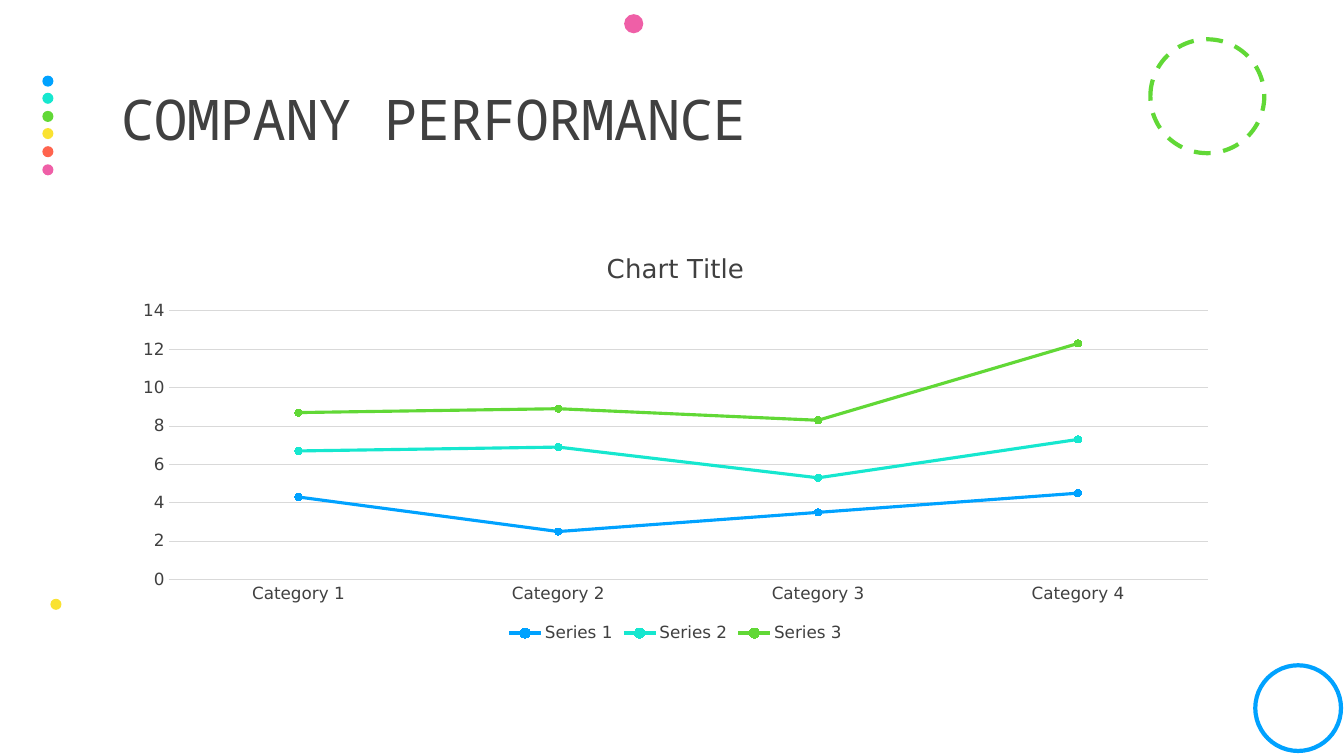
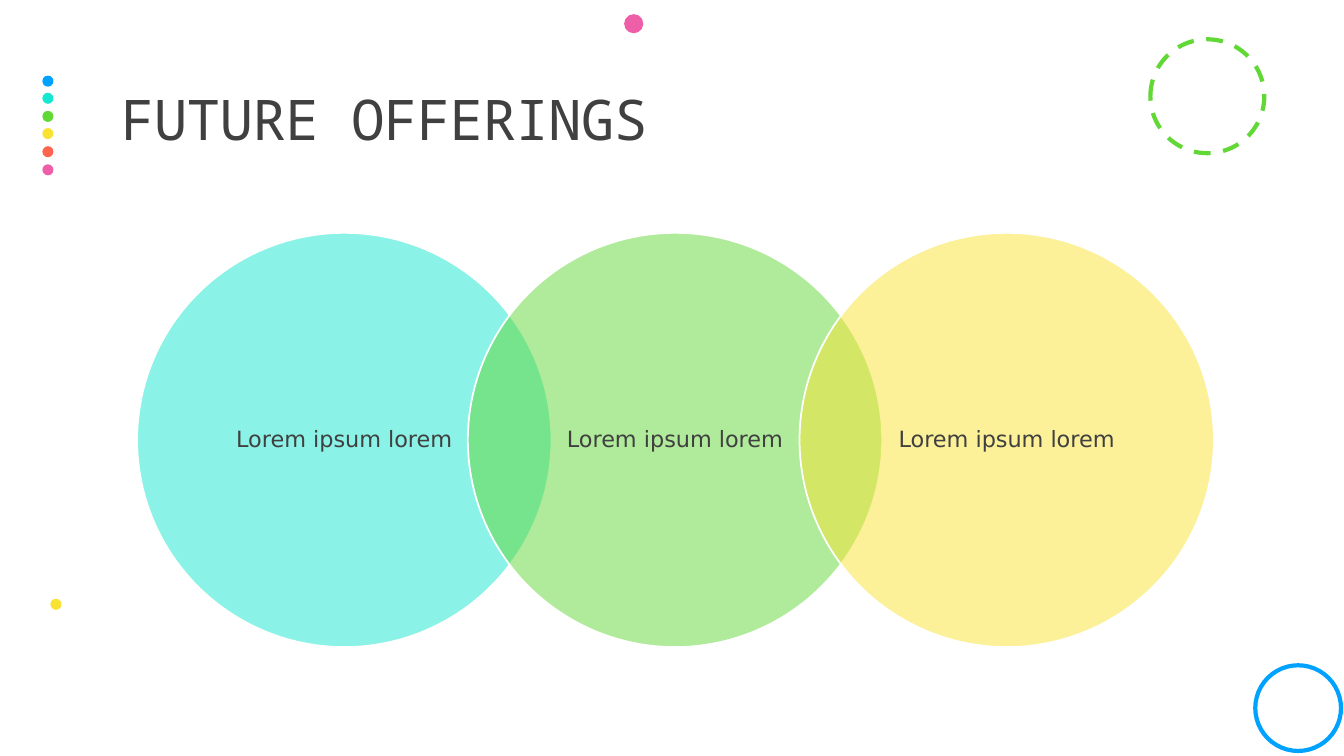
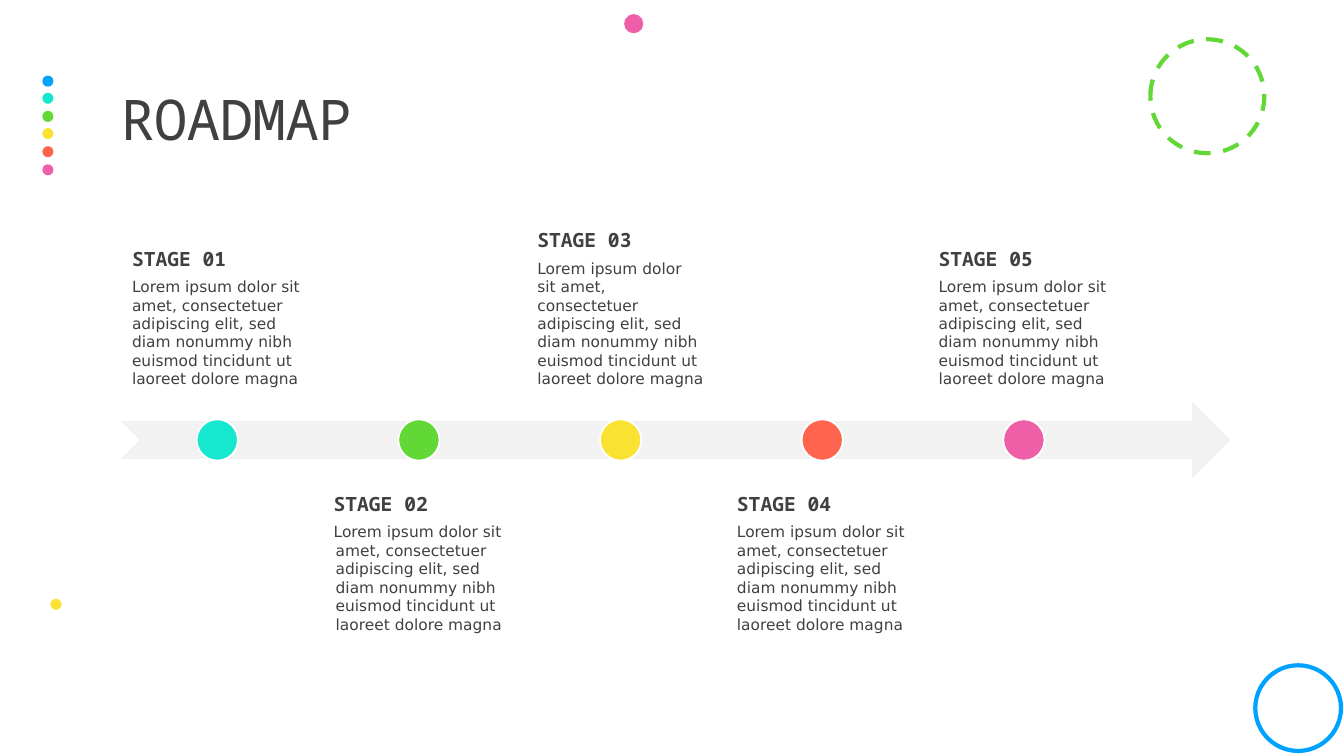
"""Build a three-slide company deck: chart, overlapping circles and roadmap."""
from dataclasses import dataclass

from lxml.etree import SubElement as Sub
from pptx import Presentation as Deck
from pptx.chart.data import CategoryChartData as Data
from pptx.dml.color import RGBColor as Rgb
from pptx.enum.chart import XL_CHART_TYPE as Kind
from pptx.enum.chart import XL_LEGEND_POSITION as Spot
from pptx.enum.chart import XL_MARKER_STYLE as Mark
from pptx.enum.chart import XL_TICK_MARK as Tick
from pptx.enum.dml import MSO_LINE as Dash
from pptx.enum.shapes import MSO_SHAPE as Form
from pptx.enum.text import MSO_ANCHOR as Hold
from pptx.enum.text import PP_ALIGN as Align
from pptx.oxml.ns import qn
from pptx.util import Pt

SCALE = 9144


@dataclass(frozen=True)
class Theme:
    ink: str = "404040"
    white: str = "FFFFFF"
    pale: str = "F2F2F2"
    grid: str = "D9D9D9"
    blue: str = "00A2FF"
    teal: str = "16E7CF"
    green: str = "61D836"
    gold: str = "FAE232"
    coral: str = "FF644E"
    pink: str = "EF5FA7"
    mono: str = "Noto Sans Mono"
    sans: str = "DejaVu Sans"
    title: float = 40
    chart: float = 18.6
    label: float = 16
    stage: float = 14
    axis: float = 12
    body: float = 11


LOOK = Theme()
LOREM = ("Lorem ipsum dolor sit amet, consectetuer adipiscing elit, sed "
         "diam nonummy nibh euismod tincidunt ut laoreet dolore magna")


def px(*nums):
    return [num * SCALE for num in nums]


def tone(hue):
    return Rgb.from_string(hue)


def style(font, size, face=LOOK.sans, bold=False):
    font.size, font.name, font.bold = Pt(size), face, bold
    font.color.rgb = tone(LOOK.ink)


def write(para, text, size, face=LOOK.sans, bold=False):
    run = para.add_run()
    run.text = text
    style(run.font, size, face, bold)
    return run


def inset(frame, side, top, hold):
    frame.margin_left = frame.margin_right = side * SCALE
    frame.margin_top = frame.margin_bottom = top * SCALE
    frame.vertical_anchor = hold
    frame.word_wrap = True


def shape(slide, form, box, fill=None, line=None, width=1.25):
    item = slide.shapes.add_shape(form, *px(*box))
    item.shadow.inherit = False
    if fill:
        item.fill.solid()
        item.fill.fore_color.rgb = tone(fill)
    else:
        item.fill.background()
    if line:
        item.line.color.rgb = tone(line)
        item.line.width = Pt(width)
    else:
        item.line.fill.background()
    return item


def oval(slide, left, top, size, fill=None, line=None, width=1.25):
    return shape(slide, Form.OVAL, (left, top, size, size), fill, line, width)


def fade(item, part):
    hue = item.element.spPr.find(qn("a:solidFill"))[0]
    Sub(hue, qn("a:alpha"), val=str(part * 1000))


def decor(slide, base):
    hues = (LOOK.blue, LOOK.teal, LOOK.green, LOOK.gold, LOOK.coral, LOOK.pink)
    items = [oval(slide, 42, 75 + row * 88 // 5, 11, hue)
             for row, hue in enumerate(hues)]
    ring = oval(slide, 1141, 39, 113, line=LOOK.green, width=3)
    ring.line.dash_style = Dash.DASH
    items += [ring,
              oval(slide, 619, 14, 19, LOOK.pink),
              oval(slide, 50, 594, 11, LOOK.gold),
              oval(slide, 1245, 660, 85, line=LOOK.blue, width=3)]
    for item in items:
        base.shapes.element.append(item.element)


def setup(deck):
    base = deck.slide_layouts[5]
    for item in list(base.placeholders):
        if item.placeholder_format.idx:
            base.shapes.element.remove(item.element)
        else:
            item.left, item.top, item.width, item.height = px(120, 46, 1100, 150)
            inset(item.text_frame, 0, 5, Hold.MIDDLE)
    return base


def page(deck, base, text):
    slide = deck.slides.add_slide(base)
    para = slide.shapes.title.text_frame.paragraphs[0]
    para.alignment, para.line_spacing = Align.LEFT, 0.9
    run = write(para, text, LOOK.title, LOOK.mono)
    run.font._element.set("spc", "-50")
    return slide


def graph(slide):
    data = Data()
    data.categories = [f"Category {num}" for num in range(1, 5)]
    rows = ((4.3, 2.5, 3.5, 4.5), (2.4, 4.4, 1.8, 2.8), (2, 2, 3, 5))
    for num, row in enumerate(rows, 1):
        data.add_series(f"Series {num}", row)
    chart = slide.shapes.add_chart(
        Kind.LINE_MARKERS_STACKED, *px(120, 231, 1100, 411), data).chart
    style(chart.font, LOOK.axis)
    chart.has_title = True
    write(chart.chart_title.text_frame.paragraphs[0], "Chart Title", LOOK.chart)
    chart.has_legend = True
    chart.legend.position = Spot.BOTTOM
    chart.legend.include_in_layout = False
    style(chart.legend.font, LOOK.axis)
    for axis in (chart.category_axis, chart.value_axis):
        axis.major_tick_mark = axis.minor_tick_mark = Tick.NONE
        style(axis.tick_labels.font, LOOK.axis)
    chart.value_axis.format.line.fill.background()
    chart.value_axis.has_major_gridlines = True
    for rule in (chart.category_axis, chart.value_axis.major_gridlines):
        rule.format.line.color.rgb = tone(LOOK.grid)
        rule.format.line.width = Pt(0.75)
    plot = chart.plots[0]
    plot.vary_by_categories = False
    for line, hue in zip(plot.series, (LOOK.blue, LOOK.teal, LOOK.green)):
        line.smooth = False
        line.format.line.color.rgb = tone(hue)
        line.format.line.width = Pt(2.25)
        line.marker.style, line.marker.size = Mark.CIRCLE, 5
        line.marker.format.fill.solid()
        line.marker.format.fill.fore_color.rgb = tone(hue)
        line.marker.format.line.color.rgb = tone(hue)


def venn(slide):
    for col, hue in enumerate((LOOK.teal, LOOK.green, LOOK.gold)):
        item = oval(slide, 136 + col * 657 // 2, 231, 411, hue, LOOK.white)
        fade(item, 50)
        inset(item.text_frame, 23, 2, Hold.MIDDLE)
        para = item.text_frame.paragraphs[0]
        para.alignment, para.line_spacing = Align.CENTER, 0.9
        write(para, "Lorem ipsum lorem", LOOK.label)


def indent(para, left, first):
    prop = para._p.get_or_add_pPr()
    prop.set("marL", str(left * SCALE))
    prop.set("indent", str(first * SCALE))


def stage(slide, num, left, top, hold, shift):
    frame = slide.shapes.add_textbox(*px(left, top, 190, 165)).text_frame
    inset(frame, 11, 11, hold)
    head, body = frame.paragraphs[0], frame.add_paragraph()
    for para in (head, body):
        indent(para, *shift)
    head.space_after = Pt(4.9)
    write(head, f"STAGE {num:02}", LOOK.stage, LOOK.mono, True)
    write(body, LOREM, LOOK.body)


def road(slide):
    shape(slide, Form.NOTCHED_RIGHT_ARROW, (120, 399, 1100, 75), LOOK.pale)
    steps = ((LOOK.teal, (0, 0)), (LOOK.green, (2, -2)), (LOOK.gold, (2, 0)),
             (LOOK.coral, (0, 0)), (LOOK.pink, (0, 0)))
    for col, (hue, shift) in enumerate(steps):
        left = 120 + col * 200
        top, hold = (477, Hold.TOP) if col % 2 else (231, Hold.BOTTOM)
        stage(slide, col + 1, left, top, hold, shift)
        oval(slide, left + 75, 416, 41, hue, LOOK.white)


def main():
    deck = Deck()
    deck.slide_width, deck.slide_height = px(1333, 750)
    base = setup(deck)
    first = page(deck, base, "COMPANY PERFORMANCE")
    decor(first, base)
    graph(first)
    venn(page(deck, base, "FUTURE OFFERINGS"))
    road(page(deck, base, "ROADMAP"))
    deck.save("out.pptx")


if __name__ == "__main__":
    main()
